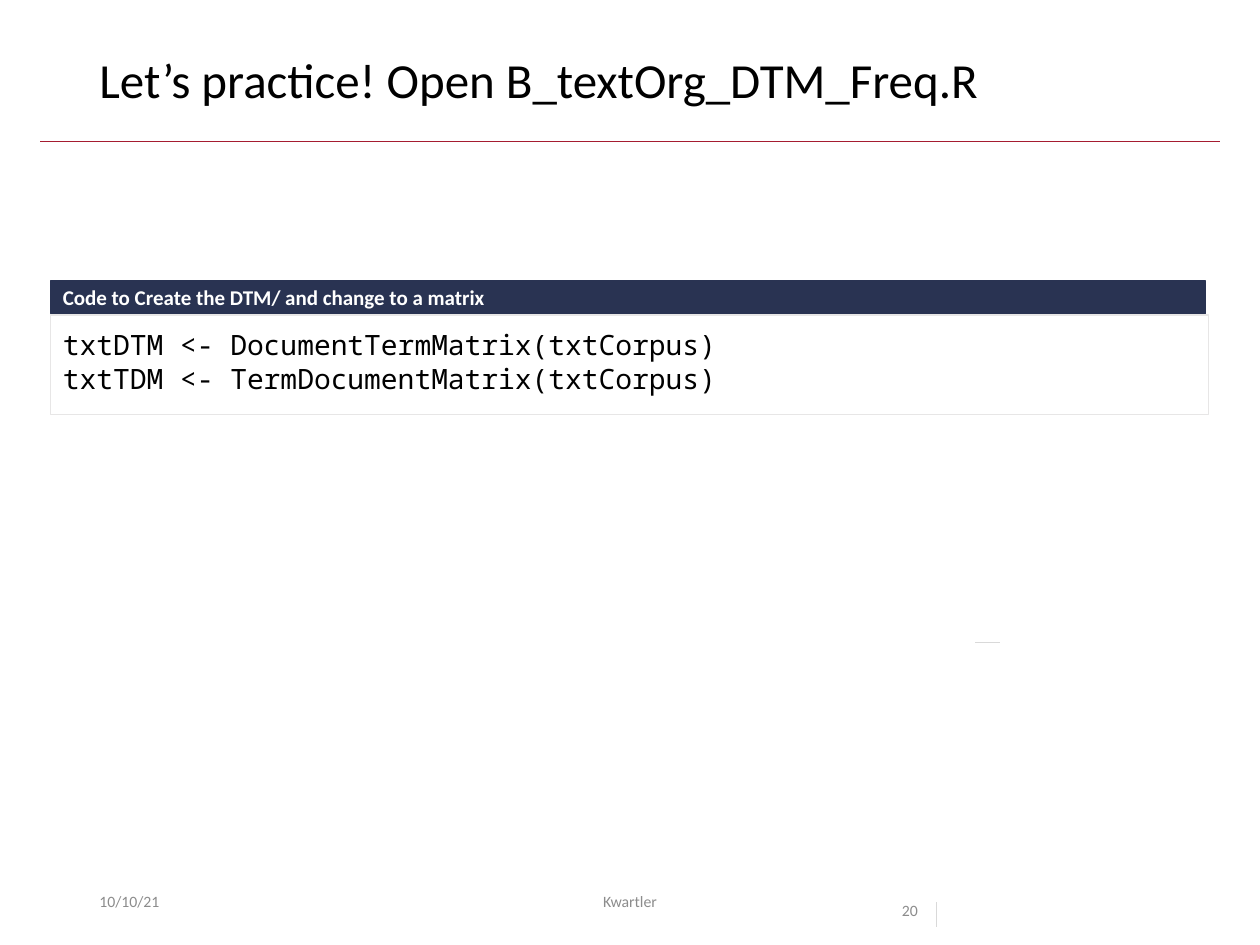
from lxml.etree import SubElement
from pptx import Presentation
from pptx.dml.color import RGBColor
from pptx.enum.shapes import MSO_CONNECTOR, MSO_SHAPE
from pptx.enum.text import MSO_ANCHOR, PP_ALIGN
from pptx.oxml.ns import qn
from pptx.util import Inches, Pt

COLORS = {
    "rule": "A51C30", "ink": "000000", "muted": "8C8C8C", "paper": "FFFFFF",
    "navy": "293352", "border": "E7E6E6", "tick": "D9D9D9",
}
COLUMNS, ROWS = 100, 75


def color(key):
    return RGBColor.from_string(COLORS[key])


def write(shape, text, size=9, ink="muted", font="Calibri", bold=False,
          align=PP_ALIGN.LEFT, anchor=MSO_ANCHOR.TOP, spacing=None, inset=0.05):
    """Fill a shape with text, one paragraph for each line."""
    frame = shape.text_frame
    frame.word_wrap = True
    frame.vertical_anchor = anchor
    frame.margin_left = frame.margin_right = Inches(0.1)
    frame.margin_top = frame.margin_bottom = Inches(inset)
    frame.text = text
    for paragraph in frame.paragraphs:
        paragraph.alignment = align
        if spacing:
            paragraph.line_spacing = spacing
        paragraph.font.name = font
        paragraph.font.size = Pt(size)
        paragraph.font.bold = bold
        paragraph.font.color.rgb = color(ink)


class SlideBuilder:
    """Places elements on a grid of COLUMNS by ROWS."""

    def __init__(self, deck):
        self.column = deck.slide_width / COLUMNS
        self.row = deck.slide_height / ROWS
        self.slide = deck.slides.add_slide(deck.slide_layouts[6])

    def place(self, left, top, width, height):
        return (int(left * self.column), int(top * self.row),
                int(width * self.column), int(height * self.row))

    def text(self, area, text, **style):
        write(self.slide.shapes.add_textbox(*self.place(*area)), text, **style)

    def panel(self, area, fill, border, text, **style):
        panel = self.slide.shapes.add_shape(MSO_SHAPE.RECTANGLE, *self.place(*area))
        panel.shadow.inherit = False
        panel.fill.solid()
        panel.fill.fore_color.rgb = color(fill)
        panel.line.color.rgb = color(border)
        panel.line.width = Pt(0.75)
        write(panel, text, inset=0.1, **style)

    def line(self, start, end, ink):
        line = self.slide.shapes.add_connector(
            MSO_CONNECTOR.STRAIGHT, *self.place(*start, *end))
        line.line.color.rgb = color(ink)
        line.line.width = Pt(0.5)
        SubElement(line._element.spPr, qn("a:effectLst"))


def main():
    deck = Presentation()
    deck.slide_width, deck.slide_height = Inches(10), Inches(7.5)
    page = SlideBuilder(deck)

    # Title and rule
    page.line((3.2, 11.2), (96.8, 11.2), "rule")
    page.text((6.9, 4, 86.2, 6.5), "Let’s practice! Open B_textOrg_DTM_Freq.R",
              size=28, ink="ink", spacing=0.9)

    # Code panel with its heading
    page.panel((4, 25, 91.9, 7.9), "paper", "border",
               "txtDTM <- DocumentTermMatrix(txtCorpus)\n"
               "txtTDM <- TermDocumentMatrix(txtCorpus)",
               size=16, ink="ink", font="Noto Sans Mono")
    page.panel((4, 22.3, 91.7, 2.6), "navy", "navy",
               "Code to Create the DTM/ and change to a matrix",
               size=12, ink="paper", bold=True, anchor=MSO_ANCHOR.MIDDLE)

    # Small tick marks
    page.line((74.3, 71.6), (74.3, 73.6), "tick")
    page.line((77.4, 51), (79.4, 51), "tick")

    # Footer: date, author, page number
    footer_top, footer_height = 69.5, 4
    page.text((6.9, footer_top, 22.5, footer_height), "10/10/21",
              anchor=MSO_ANCHOR.MIDDLE)
    page.text((33.1, footer_top, 33.8, footer_height), "Kwartler",
              align=PP_ALIGN.CENTER, anchor=MSO_ANCHOR.MIDDLE)
    page.text((70.6, footer_top, 9.4, footer_height), "20", spacing=2.0)

    deck.save("out.pptx")


if __name__ == "__main__":
    main()
